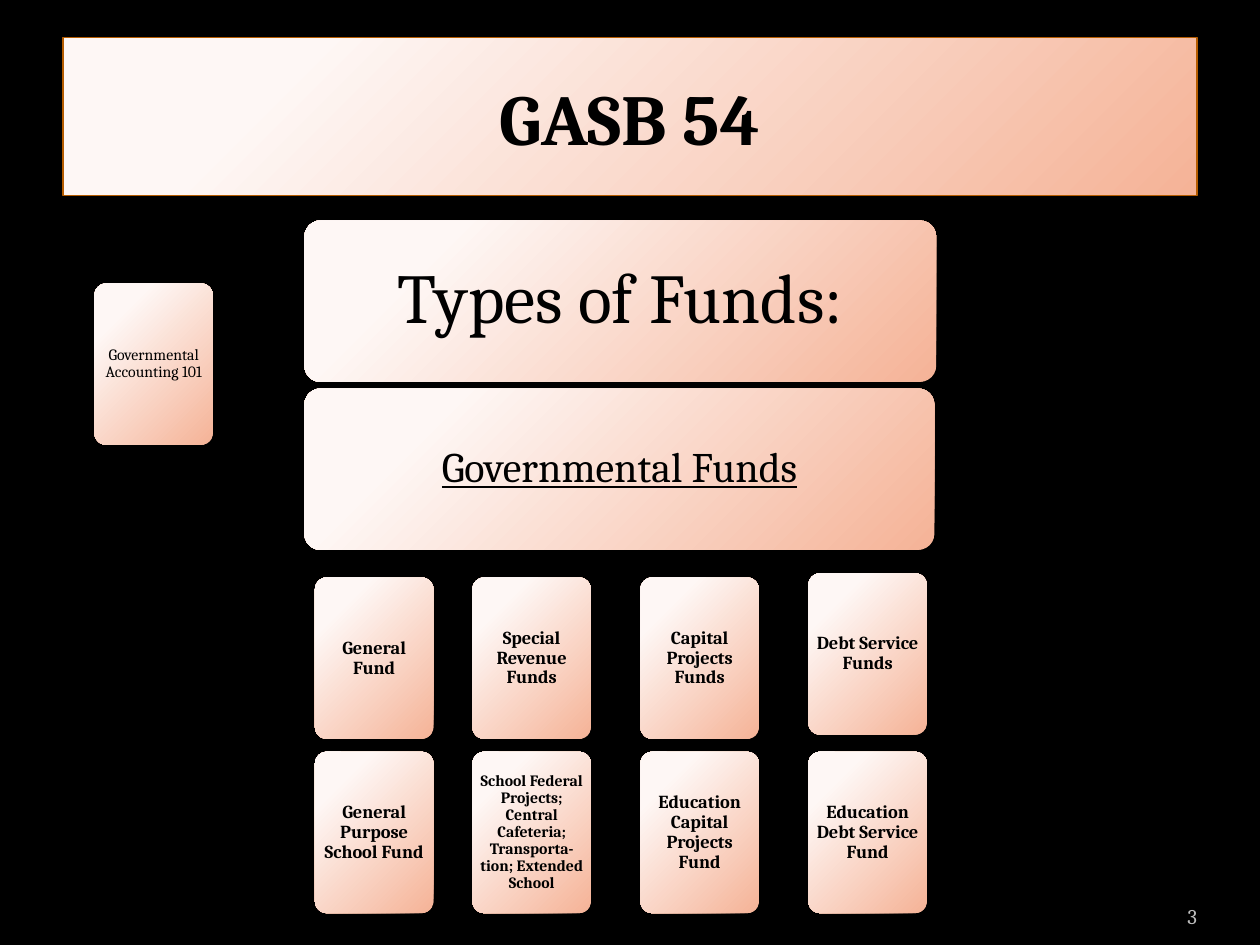
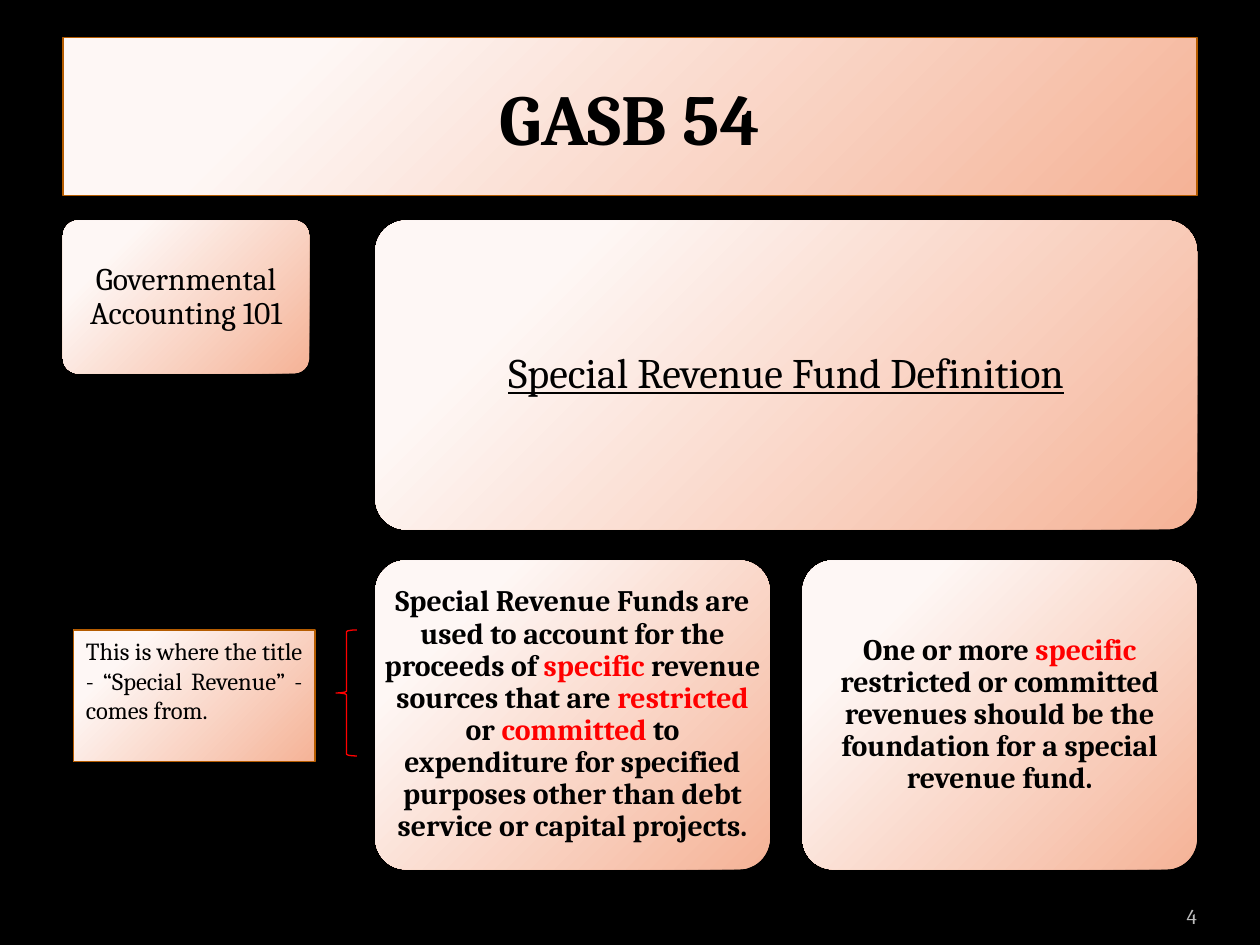
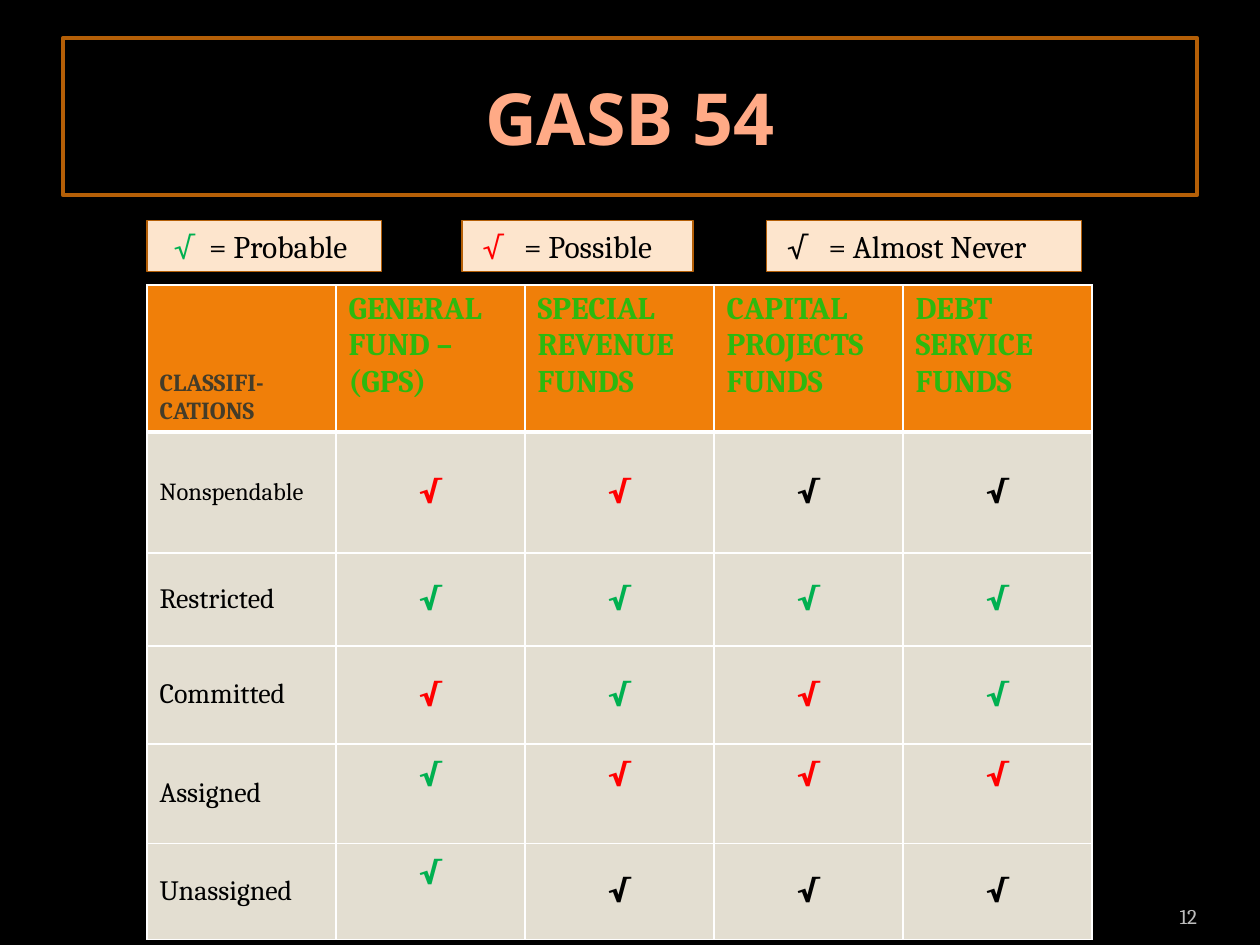
from lxml import etree
from pptx import Presentation
from pptx import util as u
from pptx.dml import color
from pptx.enum import shapes, text
from pptx.oxml import ns

# Shared style
FONT, HEAD = "Cambria", "Open Sans"
BLACK, WHITE, RED, GREEN = "000000", "FFFFFF", "FF0000", "00B050"
PALE, PEACH, RUST, BROWN = "FEF7F5", "F5B397", "B55C00", "B45F07"
CREAM, GREY, SALMON = "FDE5CD", "BDBDBD", "FFAA86"
ORANGE, SAND, LEAF, UMBER = "F07F09", "E3DED1", "2DB90E", "443C29"
ROUND = 0.1
CORNER = 0.29 * ROUND  # share of the short side that rounding takes from the text
LEFT, CENTER = text.PP_ALIGN.LEFT, text.PP_ALIGN.CENTER
RIGHT, JUST = text.PP_ALIGN.RIGHT, text.PP_ALIGN.JUSTIFY
TOP, MID, LOW = text.MSO_ANCHOR.TOP, text.MSO_ANCHOR.MIDDLE, text.MSO_ANCHOR.BOTTOM
KIND = shapes.MSO_SHAPE


def rgb(code):
    return color.RGBColor.from_string(code)


def node(parent, tag, **attrs):
    item = etree.SubElement(parent, ns.qn(tag))
    for name, value in attrs.items():
        item.set(name, str(value))
    return item


class Deck:
    def __init__(self):
        self.prs = Presentation()
        self.prs.slide_width, self.prs.slide_height = u.Pt(720), u.Pt(540)
        back = self.prs.slide_master.background.fill
        back.solid()
        back.fore_color.rgb = rgb(BLACK)
        self.slide = None

    # Formatting
    def glow(self, shape):
        """Fill with the pale to peach gradient that spreads from the top left."""
        shape.fill.gradient()
        grad = shape._element.spPr.find(ns.qn("a:gradFill"))
        for child in list(grad):
            grad.remove(child)
        stops = node(grad, "a:gsLst")
        for pos, code in ((20, PALE), (100, PEACH)):
            node(node(stops, "a:gs", pos=pos * 1000), "a:srgbClr", val=code)
        ring = node(grad, "a:path", path="circle")
        node(ring, "a:fillToRect", l=-15000, t=-15000, r=115000, b=115000)

    def paint(self, shape, fill=None, line=None, width=0.75):
        if fill == "glow":
            self.glow(shape)
        elif fill:
            shape.fill.solid()
            shape.fill.fore_color.rgb = rgb(fill)
        else:
            shape.fill.background()
        if line:
            shape.line.color.rgb = rgb(line)
            shape.line.width = u.Pt(width)
        else:
            shape.line.fill.background()

    def say(self, frame, parts, size, tint=BLACK, align=LEFT, bold=False,
            under=False, font=FONT):
        """Set a string, or a list of (string, colour) runs, as one paragraph."""
        para = frame.paragraphs[0]
        para.alignment = align
        if isinstance(parts, str):
            para.text = parts
            tints = [tint] * len(para.runs)
        else:
            for words, code in parts:
                para.add_run().text = words
            tints = [code for words, code in parts]
        for run, code in zip(para.runs, tints):
            run.font.name, run.font.size = font, u.Pt(size)
            run.font.bold, run.font.underline = bold, under
            run.font.color.rgb = rgb(code)
        return para

    def inset(self, frame, left, top, right, low):
        frame.margin_left, frame.margin_right = u.Pt(left), u.Pt(right)
        frame.margin_top, frame.margin_bottom = u.Pt(top), u.Pt(low)

    def shape(self, kind, box, **look):
        item = self.slide.shapes.add_shape(kind, *map(u.Pt, box))
        item.shadow.inherit = False
        self.paint(item, **look)
        return item

    # Elements
    def page(self, number, fill="glow", line=RUST, width=0.75, tint=BLACK, font=FONT):
        self.slide = self.prs.slides.add_slide(self.prs.slide_layouts[5])
        title = self.slide.shapes.title
        title.left, title.top, title.width, title.height = map(u.Pt, (36, 21.6, 648, 90))
        self.paint(title, fill, line, width)
        frame = title.text_frame
        frame.auto_size, frame.vertical_anchor = text.MSO_AUTO_SIZE.NONE, MID
        self.say(frame, "GASB 54", 41, tint, CENTER, bold=True, font=font)
        # Page number
        frame = self.slide.shapes.add_textbox(*map(u.Pt, (624, 505.5, 60, 28.75))).text_frame
        frame.word_wrap, frame.vertical_anchor = True, LOW
        self.inset(frame, 0, 3.6, 0, 3.6)
        self.say(frame, number, 12, GREY, RIGHT)

    def card(self, box, parts, size, pad, **style):
        item = self.shape(KIND.ROUNDED_RECTANGLE, box, fill="glow")
        item.adjustments[0] = ROUND
        frame = item.text_frame
        frame.word_wrap, frame.vertical_anchor = True, MID
        gap = max(0, pad - CORNER * min(box[2:]))
        self.inset(frame, gap, gap, gap, gap)
        para = self.say(frame, parts, size, align=CENTER, **style)
        para.line_spacing = 0.9

    def note(self, box, words, size):
        frame = self.shape(KIND.RECTANGLE, box, fill="glow", line=RUST).text_frame
        frame.word_wrap, frame.vertical_anchor = True, TOP
        self.say(frame, words, size, align=JUST)

    def brace(self, box):
        self.shape(KIND.LEFT_BRACE, box, line=RED)

    def key(self, left, width, pad, tint, words):
        """Legend box: a tick, then its meaning at a tab stop."""
        frame = self.shape(KIND.RECTANGLE, (left, 126, width, 29),
                           fill=CREAM, line=BROWN).text_frame
        frame.word_wrap, frame.vertical_anchor = True, TOP
        self.inset(frame, pad, 3.6, 0, 3.6)
        para = self.say(frame, [("√", tint), ("\t= " + words, BLACK)], 18)
        tabs = node(para._p.get_or_add_pPr(), "a:tabLst")
        node(tabs, "a:tab", pos=u.Pt(35.5 - pad), algn="l")

    def grid(self, left, top, wide, highs, cols):
        frame = self.slide.shapes.add_table(len(highs), cols, *map(
            u.Pt, (left, top, wide * cols, sum(highs))))
        table = frame.table
        table.horz_banding = False
        for col in table.columns:
            col.width = u.Pt(wide)
        for row, high in zip(table.rows, highs):
            row.height = u.Pt(high)
        return table

    def cell(self, cell, words, size, fill, anchor, low=1, **style):
        cell.fill.solid()
        cell.fill.fore_color.rgb = rgb(fill)
        cell.vertical_anchor = anchor
        self.say(cell.text_frame, words, size, **style)
        # White borders, before the fill in the cell properties
        props = cell._tc.get_or_add_tcPr()
        for place, side in enumerate("LRTB"):
            edge = node(props, "a:ln" + side, w=u.Pt(low if side == "B" else 1))
            node(node(edge, "a:solidFill"), "a:srgbClr", val=WHITE)
            props.insert(place, edge)


def funds(deck):
    deck.page("3")
    wide, high = 67.7, 92.2
    deck.card((54, 162, wide, high), "Governmental Accounting 101", 9, 2.9)
    deck.card((174, 126, 361, high), "Types of Funds:", 40, 12)
    deck.card((174, 222, 360, high), "Governmental Funds", 24, 7.2, under=True)
    # Each fund type above its school fund
    pairs = [
        (180, 330, "General Fund", "General Purpose School Fund", 10.5),
        (270, 330, "Special Revenue Funds", "School Federal Projects; Central Cafeteria; "
         "Transporta-tion; Extended School", 9),
        (366, 330, "Capital Projects Funds", "Education Capital Projects Fund", 10.5),
        (462, 327.6, "Debt Service Funds", "Education Debt Service Fund", 10.5),
    ]
    for left, top, kind, school, size in pairs:
        deck.card((left, top, wide, high), kind, 10.5, 3.2, bold=True)
        deck.card((left, 429.6, wide, high), school, size, 3.2, bold=True)


def special(deck):
    deck.page("4")
    deck.card((36, 126, 140.7, 87.4), "Governmental Accounting 101", 18, 5)
    deck.card((214.5, 126, 469.5, 176.6), "Special Revenue Fund Definition", 24, 7.2,
              under=True)
    deck.card((214.5, 320.2, 225.4, 176.6), [
        ("Special Revenue Funds are used to account for the proceeds of ", BLACK),
        ("specific ", RED), ("revenue sources that are ", BLACK),
        ("restricted", RED), (" or ", BLACK), ("committed", RED),
        (" to expenditure for specified purposes other than debt service "
         "or capital projects.", BLACK)], 17, 5, bold=True)
    deck.card((458.6, 320.2, 225.4, 176.6), [
        ("One or more ", BLACK), ("specific", RED),
        (" restricted or committed revenues should be the foundation for a "
         "special revenue fund.", BLACK)], 17, 5, bold=True)
    deck.note((42, 360, 138, 75),
              "This is where the title - “Special Revenue” - comes from.", 14)
    deck.brace((192, 360, 12, 72))


def classes(deck):
    deck.page("12", fill=BLACK, line=BROWN, width=2.25, tint=SALMON, font=HEAD)
    # Table of classes: G probable, R possible, K almost never
    heads = ["GENERAL FUND –\v(GPS)", "SPECIAL REVENUE\vFUNDS",
             "CAPITAL PROJECTS FUNDS", "DEBT SERVICE FUNDS"]
    rows = [("Nonspendable", 14, "RRKK"), ("Restricted", 16, "GGGG"),
            ("Committed", 16, "RGRG"), ("Assigned", 16, "GRRR"),
            ("Unassigned", 16, "GKKK")]
    raised = {(4, 1), (4, 2), (4, 3), (4, 4), (5, 1)}
    tints = {"G": GREEN, "R": RED, "K": BLACK}
    table = deck.grid(84, 162.8, 108, [84, 69.1, 53.2, 56, 57.1, 54.9], 5)
    deck.cell(table.cell(0, 0), "CLASSIFI-CATIONS", 14, ORANGE, LOW, 3,
              tint=UMBER, bold=True)
    for col, head in enumerate(heads, 1):
        deck.cell(table.cell(0, col), head, 18, ORANGE, TOP, 3, tint=LEAF, bold=True)
    for row, (name, size, marks) in enumerate(rows, 1):
        deck.cell(table.cell(row, 0), name, size, SAND, MID)
        for col, mark in enumerate(marks, 1):
            cell = table.cell(row, col)
            deck.cell(cell, "√", 18, SAND, MID, tint=tints[mark], align=CENTER, bold=True)
            if (row, col) in raised:
                cell.margin_bottom = u.Pt(25)
    # Legend
    deck.key(84, 134, 15.4, GREEN, "Probable")
    deck.key(264, 132, 11.8, RED, "Possible")
    deck.key(438, 180, 11.8, BLACK, "Almost Never")


def main():
    deck = Deck()
    for build in (funds, special, classes):
        build(deck)
    deck.prs.save("out.pptx")


if __name__ == "__main__":
    main()
